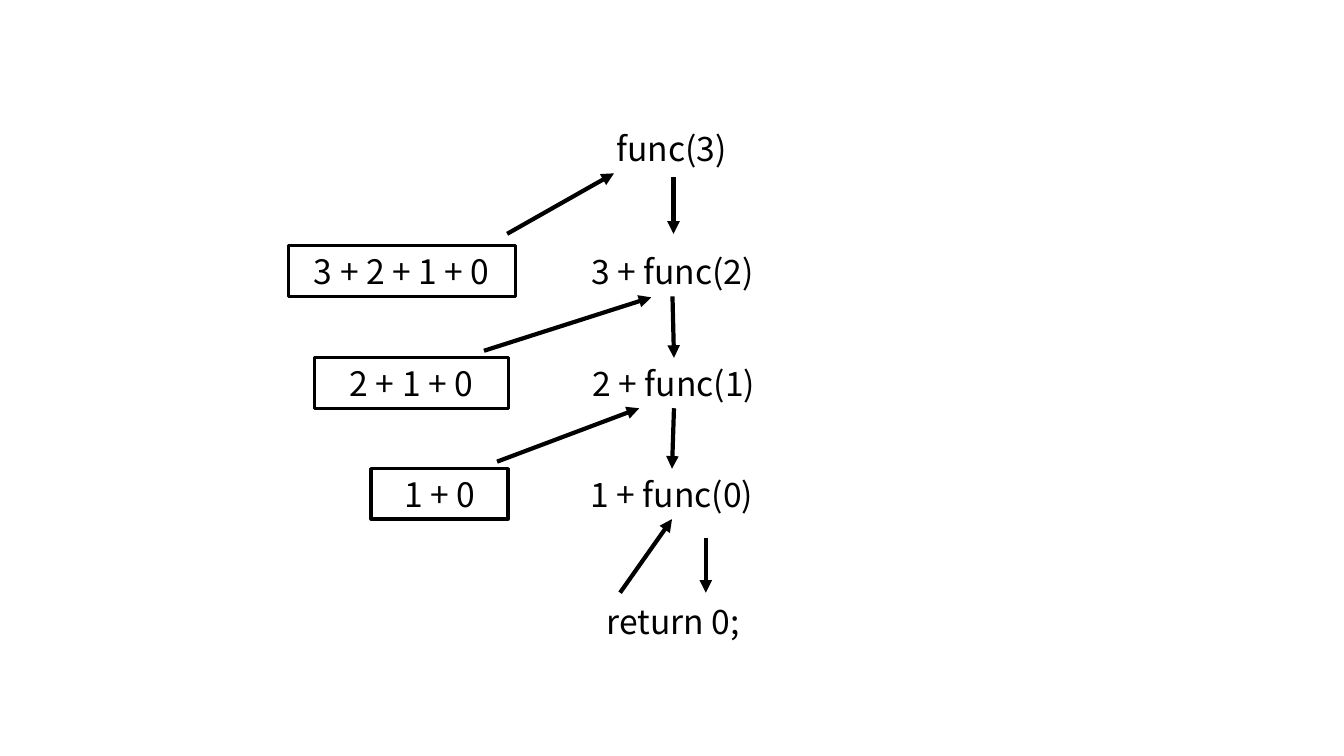
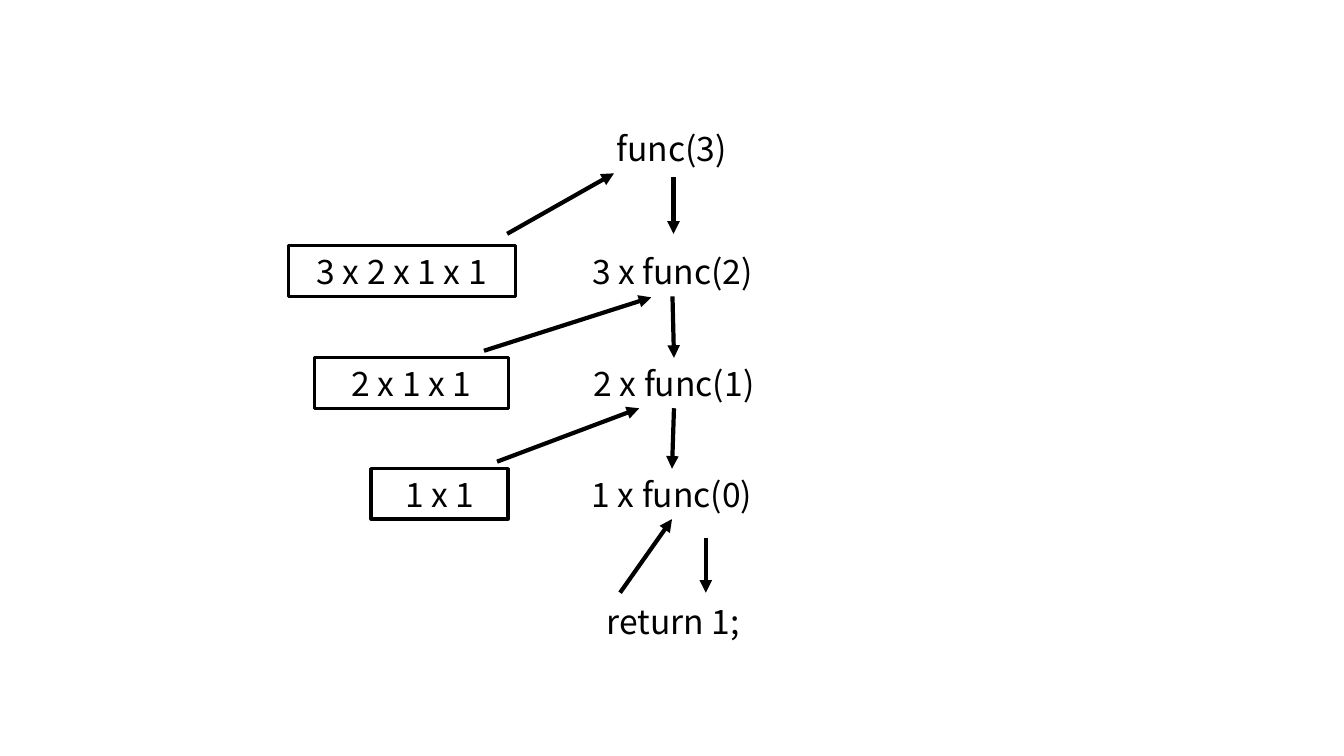
from lxml import etree
from pptx import Presentation
from pptx.dml.color import RGBColor
from pptx.enum import shapes, text
from pptx.oxml import ns
from pptx.util import Inches, Pt

FONT = "Noto Sans CJK KR"
INK = "000000"
ROW_HEIGHT = 0.5

# Offsets from the top left corner of the diagram, in inches
ROW_TOPS = [0, 1.22, 2.33, 3.43, 4.69]
CALL_SPANS = [(3.03, 1.54), (2.54, 2.54), (2.8, 2.05), (2.7, 2.21), (3.05, 1.54)]
RESULT_SPANS = [(0, 2.25), (0.26, 1.92), (0.82, 1.36)]
FREE_ARROWS = [
    ((3.82, 0.54), (3.82, 1.1)),    # first call
    ((4.14, 4.12), (4.14, 4.66)),   # last call
    ((2.17, 1.1), (3.23, 0.5)),     # results handed back up
    ((1.94, 2.26), (3.6, 1.73)),
    ((2.07, 3.36), (3.48, 2.83)),
]
LAST_RETURN = (3.29, 4.66)


def color(value):
    return RGBColor.from_string(value)


def write(box, content):
    frame = box.text_frame
    frame.word_wrap = True
    frame.auto_size = text.MSO_AUTO_SIZE.SHAPE_TO_FIT_TEXT
    para = frame.paragraphs[0]
    para.alignment = text.PP_ALIGN.CENTER
    span = para.add_run()
    span.text = content
    span.font.name = FONT
    span.font.size = Pt(24)
    span.font.color.rgb = color(INK)


def add_label(page, left, top, width, content):
    box = page.shapes.add_textbox(
        Inches(left), Inches(top), Inches(width), Inches(ROW_HEIGHT))
    write(box, content)
    return box


def add_result(page, left, top, width, content):
    box = page.shapes.add_shape(
        shapes.MSO_SHAPE.RECTANGLE,
        Inches(left), Inches(top), Inches(width), Inches(ROW_HEIGHT))
    box.shadow.inherit = False
    box.fill.background()
    box.line.color.rgb = color(INK)
    box.line.width = Pt(2.25)
    write(box, content)


def add_arrow(page, start=(0, 0), end=(0, 0)):
    arrow = page.shapes.add_connector(
        shapes.MSO_CONNECTOR.STRAIGHT, *(Inches(v) for v in (*start, *end)))
    arrow.line.color.rgb = color(INK)
    arrow.line.width = Pt(3)
    etree.SubElement(arrow.line._get_or_add_ln(), ns.qn("a:tailEnd"), type="triangle")
    etree.SubElement(arrow._element.spPr, ns.qn("a:effectLst"))
    return arrow


def draw_recursion(page, left, top, operator, base):
    """Draw the chain of calls on the right and their results on the left."""
    def place(point):
        return left + point[0], top + point[1]

    # Calls
    calls = ["func(3)"]
    calls += [f"{n} {operator} func({n - 1})" for n in (3, 2, 1)]
    calls.append(f"return {base};")
    labels = [add_label(page, left + x, top + y, width, call)
              for (x, width), y, call in zip(CALL_SPANS, ROW_TOPS, calls)]

    # Results
    factors = ["3", "2", "1", base]
    for i, (x, width) in enumerate(RESULT_SPANS):
        result = f" {operator} ".join(factors[i:])
        add_result(page, left + x, top + ROW_TOPS[i + 1], width, result)

    # Arrows between neighbouring calls
    for upper, lower in zip(labels[1:3], labels[2:4]):
        arrow = add_arrow(page)
        arrow.begin_connect(upper, 2)
        arrow.end_connect(lower, 0)

    # Remaining arrows
    for start, end in FREE_ARROWS:
        add_arrow(page, place(start), place(end))
    add_arrow(page, place(LAST_RETURN)).end_connect(labels[3], 2)


def main():
    deck = Presentation()
    deck.slide_width, deck.slide_height = Inches(13.33), Inches(7.5)
    for operator, base in (("+", "0"), ("x", "1")):
        page = deck.slides.add_slide(deck.slide_layouts[6])
        draw_recursion(page, 2.86, 1.22, operator, base)
    deck.save("out.pptx")


if __name__ == "__main__":
    main()
